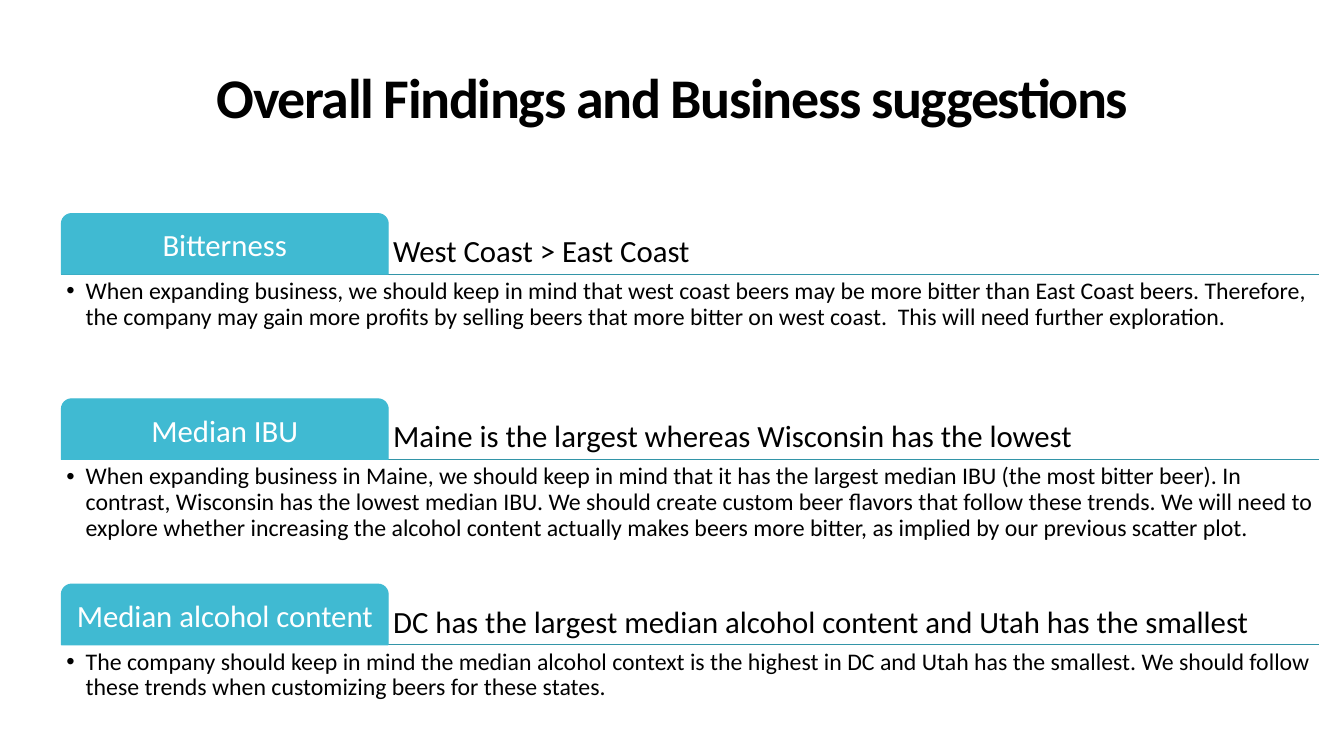
"""Build the slide of overall findings and business suggestions."""
from lxml import etree
from pptx import Presentation, util as u
from pptx.dml.color import RGBColor
from pptx.enum import shapes, text as t
from pptx.oxml.ns import qn

BLACK = RGBColor(0, 0, 0)
WHITE = RGBColor(255, 255, 255)
TEAL = RGBColor(0x40, 0xBA, 0xD2)
DARK = RGBColor(0x33, 0x95, 0xA8)

LEFT, TOP, PITCH = 0.61, 2.12, 1.838
TAB, WIDE, HEAD, BODY = 3.24, 12.47, 0.6, 1.21

FACTS = [
    ("Bitterness", "West Coast > East Coast",
     "When expanding business, we should keep in mind that west coast beers may be more "
     "bitter than East Coast beers. Therefore, the company may gain more profits by selling "
     "beers that more bitter on west coast.  This will need further exploration."),
    ("Median IBU", "Maine is the largest whereas Wisconsin has the lowest",
     "When expanding business in Maine, we should keep in mind that it has the largest median "
     "IBU (the most bitter beer). In contrast, Wisconsin has the lowest median IBU. We should "
     "create custom beer flavors that follow these trends. We will need to explore whether "
     "increasing the alcohol content actually makes beers more bitter, as implied by our "
     "previous scatter plot."),
    ("Median alcohol content",
     "DC has the largest median alcohol content and Utah has the smallest",
     "The company should keep in mind the median alcohol context is the highest in DC and Utah "
     "has the smallest. We should follow these trends when customizing beers for these states."),
]

prs = Presentation()
prs.slide_width, prs.slide_height = u.Inches(13.33), u.Inches(7.5)
slide = prs.slides.add_slide(prs.slide_layouts[6])


def write(shape, words, size, color=BLACK, bold=False, align=t.PP_ALIGN.LEFT,
          anchor=t.MSO_ANCHOR.TOP, pad=(0.05, 0.05, 0.05, 0.05), lines=0.9,
          track=None, bullet=False):
    frame = shape.text_frame
    frame.word_wrap, frame.vertical_anchor = True, anchor
    (frame.margin_left, frame.margin_top,
     frame.margin_right, frame.margin_bottom) = map(u.Inches, pad)
    para = frame.paragraphs[0]
    para.alignment, para.line_spacing = align, lines
    run = para.add_run()
    run.text = words
    font = run.font
    font.name, font.size, font.bold = "Calibri", u.Pt(size), bold
    font.color.rgb = color
    if track:
        run._r.get_or_add_rPr().set("spc", str(track))
    if bullet:
        props = para._p.get_or_add_pPr()
        props.set("marL", str(u.Inches(0.19)))
        props.set("indent", str(u.Inches(-0.19)))
        etree.SubElement(props, qn("a:buFont")).set("typeface", "Arial")
        etree.SubElement(props, qn("a:buChar")).set("char", "•")


def box(*place):
    return slide.shapes.add_textbox(*map(u.Inches, place))


write(box(0.59, 0.57, 12.16, 0.77), "Overall Findings and Business suggestions", 40,
      bold=True, align=t.PP_ALIGN.CENTER, pad=(0.1, 0.05, 0.1, 0.05), lines=1.0, track=-100)

for row, (name, head, body) in enumerate(FACTS):
    top = TOP + row * PITCH
    base = top + HEAD

    rule = slide.shapes.add_connector(
        shapes.MSO_CONNECTOR.STRAIGHT,
        *map(u.Inches, (LEFT, base, LEFT + WIDE, base)))
    rule.line.color.rgb, rule.line.width = DARK, u.Pt(0.85)
    etree.SubElement(rule._element.spPr, qn("a:effectLst"))

    tab = slide.shapes.add_shape(shapes.MSO_SHAPE.ROUND_2_SAME_RECTANGLE,
                                 *map(u.Inches, (LEFT, top, TAB, HEAD)))
    tab.adjustments[0], tab.adjustments[1] = 0.167, 0
    tab.shadow.inherit = False
    tab.fill.solid()
    tab.fill.fore_color.rgb = tab.line.color.rgb = TEAL
    tab.line.width = u.Pt(0.85)
    write(tab, name, 22, color=WHITE, align=t.PP_ALIGN.CENTER,
          anchor=t.MSO_ANCHOR.MIDDLE, pad=(0.08, 0.08, 0.08, 0.05))

    write(box(LEFT + TAB, top, WIDE - TAB, HEAD), head, 22, anchor=t.MSO_ANCHOR.BOTTOM)
    write(box(LEFT, base, WIDE, BODY), body, 17, bullet=True)

prs.save("out.pptx")
